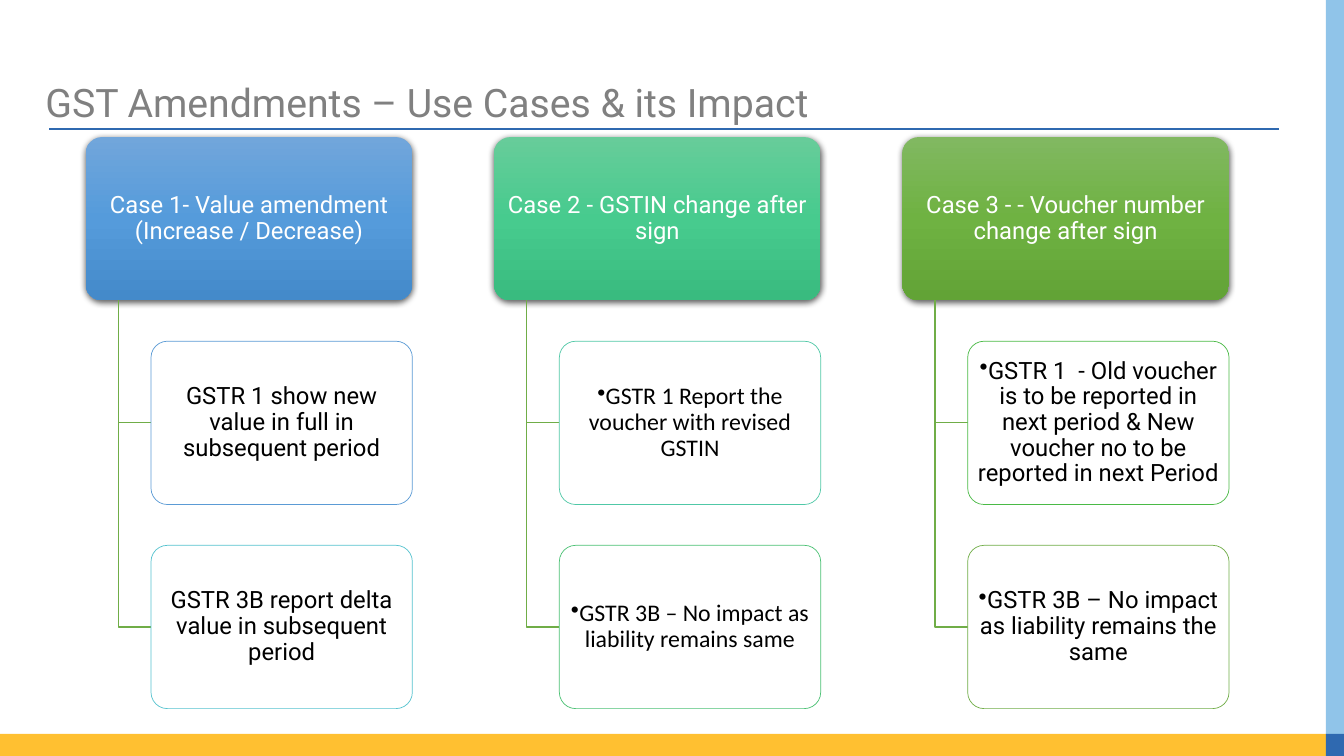
from dataclasses import dataclass

from lxml import etree
from pptx import Presentation
from pptx.dml.color import RGBColor
from pptx.enum.shapes import MSO_CONNECTOR, MSO_SHAPE
from pptx.enum.text import MSO_ANCHOR, PP_ALIGN
from pptx.oxml import parse_xml
from pptx.oxml.ns import nsdecls, qn
from pptx.util import Emu, Inches, Pt

RECT = MSO_SHAPE.RECTANGLE
ROUNDED = MSO_SHAPE.ROUNDED_RECTANGLE
STRAIGHT = MSO_CONNECTOR.STRAIGHT
MIDDLE = MSO_ANCHOR.MIDDLE
LEFT, CENTER = PP_ALIGN.LEFT, PP_ALIGN.CENTER

COLORS = {
    "white": "FFFFFF", "black": "000000", "title": "808080",
    "amber": "FFC031", "sky": "90C4E9", "blue": "2F69B0", "elbow": "70AD47",
}
SLIDE_W, SLIDE_H = 13.33, 7.5
BAR_H, BAR_W = 0.22, 0.18
UNIT = 0.324
GRID_LEFT, GRID_TOP = 0.85, 1.36
CARD_COLS, CARD_ROWS = 10, 5
CASE_STEP, ROW_STEP = 12.5, 6.25
ELBOW_COL, IMPACT_COL = 1, 2


@dataclass(frozen=True)
class Impact:
    text: str
    outline: str
    font: str = "Roboto"
    bullet: bool = True


@dataclass(frozen=True)
class Case:
    text: str
    gradient: tuple[str, str, str]
    impacts: tuple[Impact, ...]


CASES = (
    Case("Case 1- Value amendment (Increase / Decrease)",
         ("71A6DB", "559BDB", "448ACA"),
         (Impact("GSTR 1 show new value in full in subsequent period",
                 "5B9BD5", bullet=False),
          Impact("GSTR 3B report delta value in subsequent period",
                 "55C3CF", bullet=False))),
    Case("Case 2 - GSTIN change after sign",
         ("67CC9A", "47CB8E", "39BB7F"),
         (Impact("GSTR 1 Report the voucher with revised GSTIN",
                 "50C8A7", "Calibri"),
          Impact("GSTR 3B – No impact as liability remains same",
                 "4BC174", "Calibri"))),
    Case("Case 3 - - Voucher number change after sign",
         ("81B861", "6FB242", "62A336"),
         (Impact("GSTR 1  - Old voucher is to be reported in next period "
                 "& New voucher no to be reported in next Period", "4ABA46"),
          Impact("GSTR 3B – No impact as liability remains the same",
                 "70AD47"))),
)


def rgb(color: str) -> RGBColor:
    return RGBColor.from_string(color)


def grid_x(col: float) -> Emu:
    return Inches(GRID_LEFT + col * UNIT)


def grid_y(row: float) -> Emu:
    return Inches(GRID_TOP + row * UNIT)


def add_run(p, text: str, font: str, size: float, color: str) -> None:
    p.line_spacing = 0.9
    r = p.add_run()
    r.text = text
    r.font.name = font
    r.font.size = Pt(size)
    r.font.color.rgb = rgb(color)


def add_bar(s, left: float, top: float, width: float, height: float, color: str) -> None:
    sp = s.shapes.add_shape(RECT, Inches(left), Inches(top), Inches(width), Inches(height))
    sp.shadow.inherit = False
    sp.fill.solid()
    sp.fill.fore_color.rgb = rgb(color)
    sp.line.fill.background()


def add_card(s, col: float, row: float, cols: float, text: str, font: str,
             color: str, bullet: bool = False):
    sp = s.shapes.add_shape(ROUNDED, grid_x(col), grid_y(row),
                            Inches(cols * UNIT), Inches(CARD_ROWS * UNIT))
    sp.adjustments[0] = 0.1
    sp.shadow.inherit = False
    tf = sp.text_frame
    tf.word_wrap = True
    tf.vertical_anchor = MIDDLE
    tf.margin_left = tf.margin_right = Inches(0.04)
    tf.margin_top = tf.margin_bottom = Inches(0.02)
    p = tf.paragraphs[0]
    p.alignment = CENTER
    if bullet:
        p_pr = p._p.get_or_add_pPr()
        p_pr.set("marL", "0")
        p_pr.set("indent", "0")
        etree.SubElement(p_pr, qn("a:buChar")).set("char", "•")
    add_run(p, text, font, 17, color)
    return sp


def add_case_card(s, col: float, case: Case) -> None:
    sp = add_card(s, col, 0, CARD_COLS, case.text, "Roboto", COLORS["white"])
    sp.line.fill.background()
    sp.fill.gradient()
    stops = sp._element.spPr.find(qn("a:gradFill")).find(qn("a:gsLst"))
    for stop in list(stops):
        stops.remove(stop)
    for pos, color in zip((0, 50000, 100000), case.gradient):
        stop = etree.SubElement(stops, qn("a:gs"))
        stop.set("pos", str(pos))
        etree.SubElement(stop, qn("a:srgbClr")).set("val", color)
    sp.fill.gradient_angle = 270
    effects = sp._element.spPr.find(qn("a:effectLst"))
    effects.append(parse_xml(
        f'<a:outerShdw {nsdecls("a")} blurRad="{Pt(4.5)}" dist="{Pt(1.5)}" '
        f'dir="5400000" algn="ctr" rotWithShape="0"><a:srgbClr val="{COLORS["black"]}">'
        '<a:alpha val="63000"/></a:srgbClr></a:outerShdw>'))


def add_impact_card(s, col: float, row: float, impact: Impact) -> None:
    sp = add_card(s, col, row, CARD_COLS - IMPACT_COL, impact.text, impact.font,
                  COLORS["black"], impact.bullet)
    sp.fill.solid()
    sp.fill.fore_color.rgb = rgb(COLORS["white"])
    fill_color = sp._element.spPr.find(qn("a:solidFill")).find(qn("a:srgbClr"))
    etree.SubElement(fill_color, qn("a:alpha")).set("val", "90000")
    sp.line.color.rgb = rgb(impact.outline)
    sp.line.width = Pt(0.5)


def add_elbow(s, col: float, row: float) -> None:
    x, y = grid_x(col + ELBOW_COL), grid_y(row + CARD_ROWS / 2)
    builder = s.shapes.build_freeform(x, grid_y(CARD_ROWS))
    builder.add_line_segments([(x, y), (grid_x(col + IMPACT_COL), y)], close=False)
    sp = builder.convert_to_shape()
    sp.shadow.inherit = False
    sp.fill.background()
    sp.line.color.rgb = rgb(COLORS["elbow"])
    sp.line.width = Pt(1)


def add_title(s, text: str) -> None:
    sp = s.shapes.title
    sp.left, sp.top = Inches(0.35), Inches(0.79)
    sp.width, sp.height = Inches(12.35), Inches(0.5)
    tf = sp.text_frame
    tf.word_wrap = True
    tf.vertical_anchor = MIDDLE
    p = tf.paragraphs[0]
    p.alignment = LEFT
    add_run(p, text, "Roboto", 28, COLORS["title"])


def add_title_rule(s) -> None:
    y = Inches(1.28)
    line = s.shapes.add_connector(STRAIGHT, Inches(0.49), y, Inches(12.69), y)
    line.line.color.rgb = rgb(COLORS["blue"])
    line.line.width = Pt(0.82)
    etree.SubElement(line._element.spPr, qn("a:effectLst"))


def main() -> None:
    prs = Presentation()
    prs.slide_width, prs.slide_height = Inches(SLIDE_W), Inches(SLIDE_H)
    s = prs.slides.add_slide(prs.slide_layouts[5])
    bar_x, bar_y = SLIDE_W - BAR_W, SLIDE_H - BAR_H
    add_bar(s, 0, bar_y, bar_x, BAR_H, COLORS["amber"])
    add_bar(s, bar_x, 0, BAR_W, bar_y, COLORS["sky"])
    add_bar(s, bar_x, bar_y, BAR_W, BAR_H, COLORS["blue"])
    add_title_rule(s)
    add_title(s, "GST Amendments – Use Cases & its Impact")
    for i, case in enumerate(CASES):
        col = i * CASE_STEP
        add_case_card(s, col, case)
        for j, impact in enumerate(case.impacts, start=1):
            add_elbow(s, col, j * ROW_STEP)
            add_impact_card(s, col + IMPACT_COL, j * ROW_STEP, impact)
    prs.save("out.pptx")


if __name__ == "__main__":
    main()
